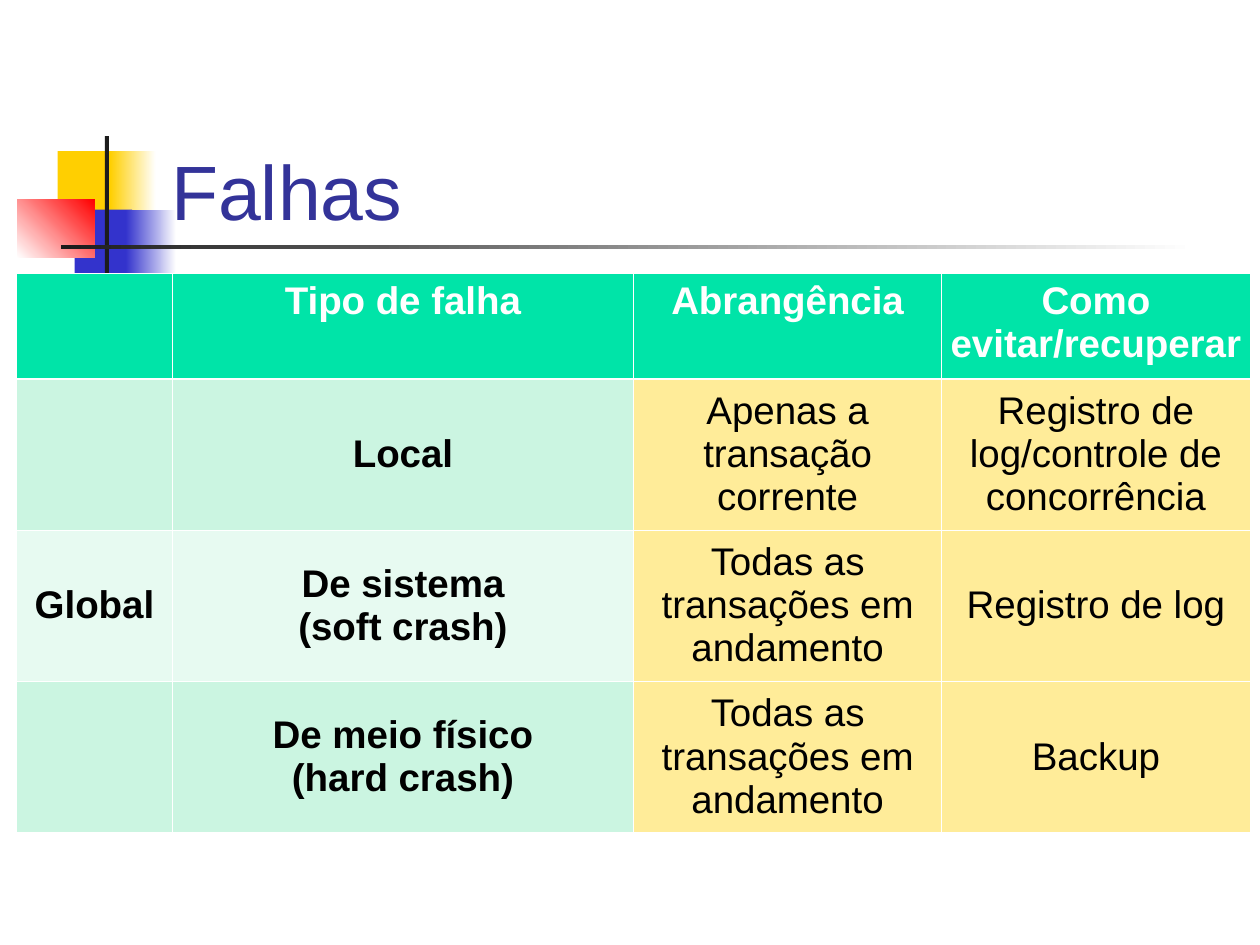
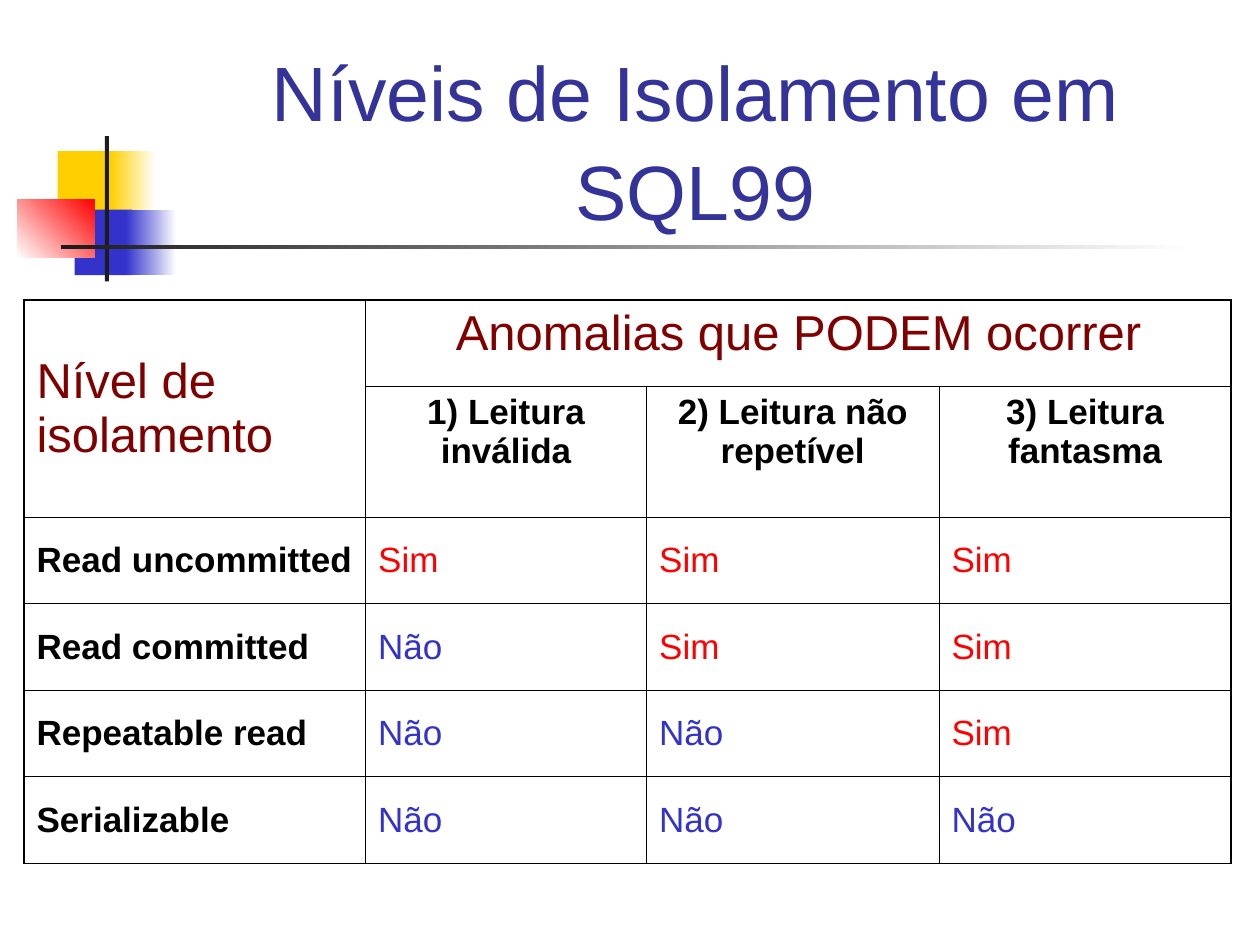
import dataclasses
import lxml.etree
import pptx
import pptx.dml.color
import pptx.enum.shapes
import pptx.enum.text
import pptx.oxml.ns
import pptx.util

Pt = pptx.util.Pt
Align = pptx.enum.text.PP_ALIGN
Anchor = pptx.enum.text.MSO_ANCHOR


@dataclasses.dataclass(frozen=True)
class Theme:
    font: str = "Arial"
    white: str = "FFFFFF"
    black: str = "000000"
    ink: str = "1C1C1C"
    yellow: str = "FFCF01"
    blue: str = "3333CC"
    red: str = "FF0000"
    title: str = "333399"
    maroon: str = "800000"
    header_green: str = "00E4A8"
    band_green: str = "CBF5E1"
    pale_green: str = "E7FAF1"
    cream: str = "FFEC99"
    title_size: float = 44
    heading_size: float = 28
    failure_size: float = 22
    level_size: float = 20
    thin: float = 0.45
    outer: float = 1.08
    header_rule: float = 1.47


@dataclasses.dataclass(frozen=True)
class Box:
    left: float
    top: float
    width: float
    height: float

    def inner(self, left, top, width, height):
        return Box(self.left + left, self.top + top, width, height)

    def lengths(self):
        return [Pt(value) for value in (self.left, self.top, self.width, self.height)]


THEME = Theme()
ORNAMENT_BOX = Box(10, 77.8, 673, 83)
TITLE_BOX = Box(90.7, 48.2, 613.5, 90)
FAILURES_BOX = Box(9.4, 156.4, 705, 313.2)
LEVELS_BOX = Box(13.7, 171.4, 690, 322)


def rgb(value):
    return pptx.dml.color.RGBColor.from_string(value)


def write(frame, lines, size, color, bold=False, align=Align.LEFT, before=0, spacing=None):
    for index, line in enumerate(lines):
        paragraph = frame.add_paragraph() if index else frame.paragraphs[0]
        paragraph.alignment = align
        paragraph.space_before = Pt(before)
        if spacing:
            paragraph.line_spacing = spacing
        run = paragraph.add_run()
        run.text = line
        run.font.name = THEME.font
        run.font.size = Pt(size)
        run.font.bold = bold
        run.font.color.rgb = rgb(color)


def add_block(slide, box, start, end=None, angle=0):
    shape = slide.shapes.add_shape(pptx.enum.shapes.MSO_SHAPE.RECTANGLE, *box.lengths())
    shape.shadow.inherit = False
    shape.line.fill.background()
    if end is None:
        shape.fill.solid()
        shape.fill.fore_color.rgb = rgb(start)
        return
    shape.fill.gradient()
    shape.fill.gradient_angle = angle
    for stop, color in zip(shape.fill.gradient_stops, (start, end)):
        stop.color.rgb = rgb(color)


def add_ornament(slide, box):
    add_block(slide, box.inner(23, 8.6, 34.6, 37.4), THEME.yellow)
    add_block(slide, box.inner(53, 8.6, 26, 37.4), THEME.yellow, THEME.white)
    add_block(slide, box.inner(32.6, 42, 33, 37.4), THEME.blue)
    add_block(slide, box.inner(62, 42, 28.8, 37.4), THEME.blue, THEME.white)
    add_block(slide, box.inner(0, 36, 44, 33.5), THEME.white, THEME.red, 45)
    add_block(slide, box.inner(49.9, 0, 2.4, box.height), THEME.ink)
    add_block(slide, box.inner(25, 62.3, 648, 2.4), THEME.ink, THEME.white)


def add_title(slide, box, text, align):
    frame = slide.shapes.add_textbox(*box.lengths()).text_frame
    frame.word_wrap = True
    frame.vertical_anchor = Anchor.BOTTOM
    write(frame, [text], THEME.title_size, THEME.title, align=align, spacing=1.07)


def add_grid(slide, box, widths, heights):
    table = slide.shapes.add_table(len(heights), len(widths), *box.lengths()).table
    table.first_row = False
    table.horz_banding = False
    for column, width in zip(table.columns, widths):
        column.width = Pt(width)
    for row, height in zip(table.rows, heights):
        row.height = Pt(height)
    return table


def style_cell(cell, fill, inset, anchor, border_color, borders):
    cell.margin_left = cell.margin_right = Pt(inset)
    cell.margin_top = cell.margin_bottom = Pt(3.6)
    cell.vertical_anchor = anchor
    if fill:
        cell.fill.solid()
        cell.fill.fore_color.rgb = rgb(fill)
    else:
        cell.fill.background()
    qn = pptx.oxml.ns.qn
    properties = cell._tc.get_or_add_tcPr()
    for index, (side, width) in enumerate(zip("LRTB", borders)):
        line = lxml.etree.Element(qn(f"a:ln{side}"), w=str(int(Pt(width))))
        solid = lxml.etree.SubElement(line, qn("a:solidFill"))
        lxml.etree.SubElement(solid, qn("a:srgbClr"), val=border_color)
        properties.insert(index, line)


def add_failures_table(slide, box):
    rows = [
        ["", "Tipo de falha", "Abrangência", "Como evitar/recuperar"],
        ["", "Local", "Apenas a transação corrente",
         "Registro de log/controle de concorrência"],
        ["Global", "De sistema\n(soft crash)", "Todas as transações em andamento",
         "Registro de log"],
        ["", "De meio físico\n(hard crash)", "Todas as transações em andamento", "Backup"],
    ]
    label_fills = [THEME.header_green, THEME.band_green, THEME.pale_green, THEME.band_green]
    table = add_grid(slide, box, [89.2, 263.4, 176.2, 176.2], [58.2] + [85] * 3)
    for row, texts in enumerate(rows):
        header = row == 0
        for column, text in enumerate(texts):
            label = header or column < 2
            cell = table.cell(row, column)
            borders = [THEME.thin, THEME.thin,
                       THEME.header_rule if row == 1 else THEME.thin,
                       THEME.header_rule if header else THEME.thin]
            style_cell(cell, label_fills[row] if label else THEME.cream, 3,
                       Anchor.TOP if header else Anchor.MIDDLE, THEME.white, borders)
            if text:
                write(cell.text_frame, text.split("\n"), THEME.failure_size,
                      THEME.white if header else THEME.black, label, Align.CENTER)


def add_levels_table(slide, box):
    rows = [
        ["Nível de isolamento", "Anomalias que PODEM ocorrer", "", ""],
        ["", "1) Leitura inválida", "2) Leitura não repetível", "3) Leitura fantasma"],
        ["Read uncommitted", "Sim", "Sim", "Sim"],
        ["Read committed", "Não", "Sim", "Sim"],
        ["Repeatable read", "Não", "Não", "Sim"],
        ["Serializable", "Não", "Não", "Não"],
    ]
    answer_colors = {"Sim": THEME.red, "Não": THEME.blue}
    table = add_grid(slide, box, [195.2, 160.6, 167.1, 167.1], [49.5, 74.5] + [49.5] * 4)
    table.cell(0, 0).merge(table.cell(1, 0))
    table.cell(0, 1).merge(table.cell(0, 3))
    for row, texts in enumerate(rows):
        for column, text in enumerate(texts):
            cell = table.cell(row, column)
            at_edges = (column == 0, column + cell.span_width == len(texts),
                        row == 0, row + cell.span_height == len(rows))
            borders = [THEME.outer if at_edge else THEME.thin for at_edge in at_edges]
            column_heading = row < 2 and column > 0
            style_cell(cell, None, 7.2, Anchor.TOP if column_heading else Anchor.MIDDLE,
                       THEME.black, borders)
            if not text:
                continue
            main_heading = row == 0
            write(cell.text_frame, [text],
                  THEME.heading_size if main_heading else THEME.level_size,
                  THEME.maroon if main_heading else answer_colors.get(text, THEME.black),
                  not main_heading and text not in answer_colors,
                  Align.CENTER if column_heading else Align.LEFT,
                  7 if main_heading else 5)


def add_table_slide(presentation, title, align, add_table, table_box):
    slide = presentation.slides.add_slide(presentation.slide_layouts[6])
    add_ornament(slide, ORNAMENT_BOX)
    add_title(slide, TITLE_BOX, title, align)
    add_table(slide, table_box)


def main():
    presentation = pptx.Presentation()
    presentation.slide_width = Pt(720)
    presentation.slide_height = Pt(540)
    add_table_slide(presentation, "Falhas", Align.LEFT, add_failures_table, FAILURES_BOX)
    add_table_slide(presentation, "Níveis de Isolamento em SQL99", Align.CENTER,
                    add_levels_table, LEVELS_BOX)
    presentation.save("out.pptx")


if __name__ == "__main__":
    main()
